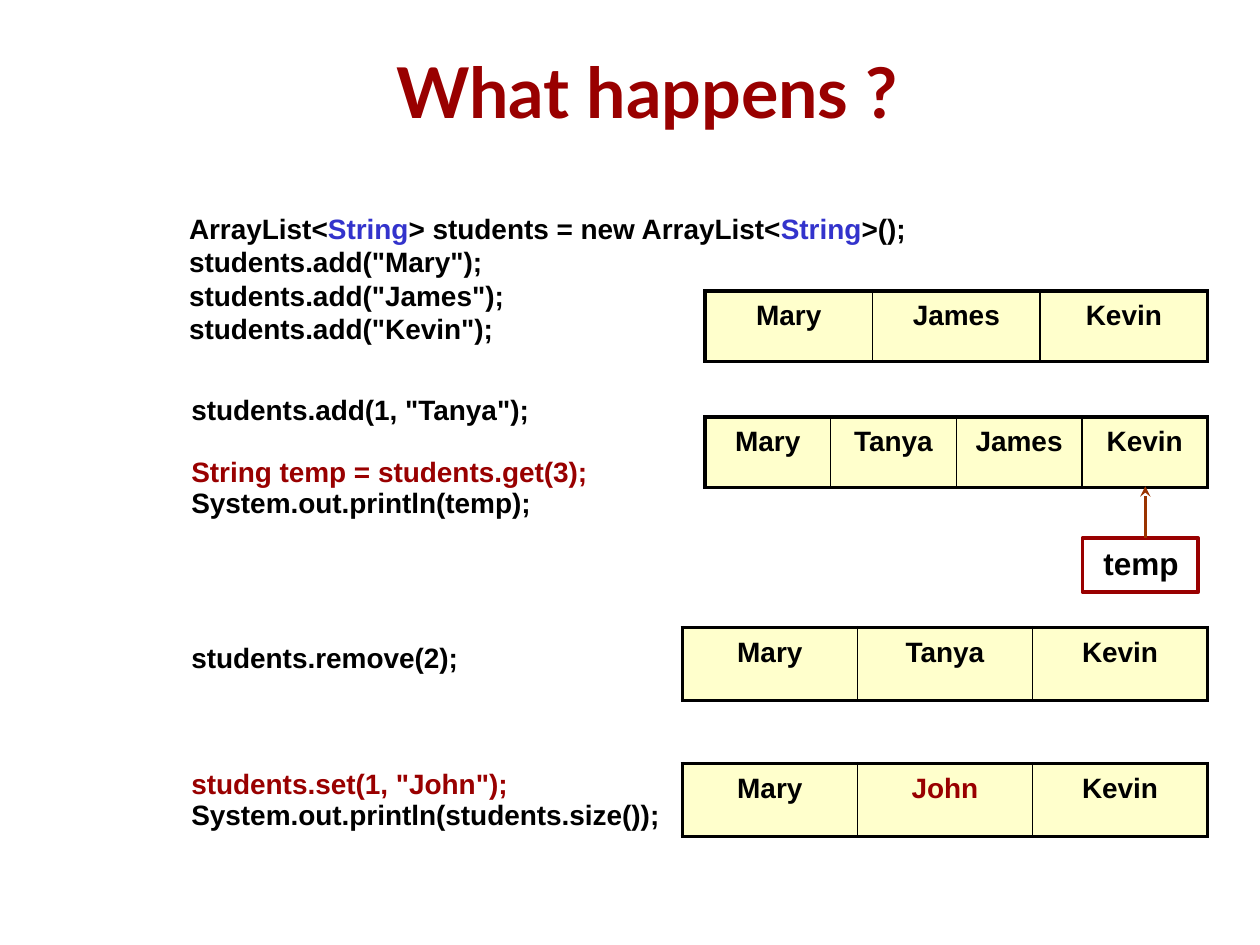
from lxml import etree
from pptx import Presentation
from pptx.dml.color import RGBColor
from pptx.enum.shapes import MSO_CONNECTOR, MSO_SHAPE
from pptx.enum.text import MSO_ANCHOR, PP_ALIGN
from pptx.oxml.ns import qn
from pptx.util import Inches, Pt

CENTER = PP_ALIGN.CENTER
MIDDLE = MSO_ANCHOR.MIDDLE
RECTANGLE = MSO_SHAPE.RECTANGLE
STRAIGHT = MSO_CONNECTOR.STRAIGHT

BLACK = RGBColor(0x00, 0x00, 0x00)
DARK_RED = RGBColor(0x99, 0x00, 0x00)
TYPE_BLUE = RGBColor(0x33, 0x33, 0xCC)
ARROW_BROWN = RGBColor(0x99, 0x33, 0x00)
CELL_YELLOW = RGBColor(0xFF, 0xFF, 0xCC)

LISTS_RIGHT = 9.585  # shared right edge of the list diagrams
CODE_LEFT = 1.42
OUTER_BORDER, INNER_BORDER = 2.25, 1


def place(left, top, width, height):
    return [Inches(value) for value in (left, top, width, height)]


def set_font(font, size=16, color=BLACK, name="Arial"):
    font.name, font.size, font.bold = name, Pt(size), True
    font.color.rgb = color


def zero_margins(frame):
    frame.margin_left = frame.margin_right = 0
    frame.margin_top = frame.margin_bottom = 0


def add_title(slide, text):
    title = slide.shapes.title
    title.left, title.top, title.width, title.height = place(1.91, 0.21, 6.59, 1.13)
    frame = title.text_frame
    zero_margins(frame)
    frame.vertical_anchor = MIDDLE
    frame.text = text
    heading = frame.paragraphs[0]
    heading.alignment, heading.line_spacing = CENTER, 0.81
    set_font(heading.font, 40, DARK_RED, "Lato")


def add_code(slide, box, lines, spacing=0.93):
    """Each line is (pieces, color, space before); odd pieces are type names."""
    frame = slide.shapes.add_textbox(*place(*box)).text_frame
    frame.word_wrap = True
    for index, (pieces, color, before) in enumerate(lines):
        line = frame.add_paragraph() if index else frame.paragraphs[0]
        line.line_spacing, line.space_before = spacing, Pt(before)
        set_font(line.font, color=color)
        for position, piece in enumerate(pieces):
            run = line.add_run()
            run.text = piece
            if position % 2:
                run.font.color.rgb = TYPE_BLUE
    return frame


def set_border(cell, side, width):
    border = etree.SubElement(cell._tc.get_or_add_tcPr(), qn(f"a:ln{side}"),
                              w=str(Pt(width)))
    fill = etree.SubElement(border, qn("a:solidFill"))
    etree.SubElement(fill, qn("a:srgbClr"), val=str(BLACK))


def add_list(slide, top, width, height, names, changed=None):
    """Draw the state of the list as one row of cells."""
    frame = slide.shapes.add_table(
        1, len(names), *place(LISTS_RIGHT - width, top, width, height))
    table = frame.table
    table.first_row = table.horz_banding = False
    last = len(names) - 1
    for index, name in enumerate(names):
        table.columns[index].width = Inches(width / len(names))
        cell = table.cell(0, index)
        cell.text = name
        label = cell.text_frame.paragraphs[0]
        label.alignment, label.line_spacing = CENTER, 1.1
        set_font(label.font, color=DARK_RED if name == changed else BLACK)
        # Borders come before the fill in the cell properties
        set_border(cell, "L", INNER_BORDER if index else OUTER_BORDER)
        set_border(cell, "R", INNER_BORDER if index < last else OUTER_BORDER)
        set_border(cell, "T", OUTER_BORDER)
        set_border(cell, "B", OUTER_BORDER)
        cell.fill.solid()
        cell.fill.fore_color.rgb = CELL_YELLOW


def add_variable(slide, box, text):
    variable = slide.shapes.add_shape(RECTANGLE, *place(*box))
    variable.shadow.inherit = False
    variable.fill.background()
    variable.line.color.rgb, variable.line.width = DARK_RED, Pt(2)
    frame = variable.text_frame
    frame.text = text
    frame.vertical_anchor = MSO_ANCHOR.TOP
    name = frame.paragraphs[0]
    name.alignment = PP_ALIGN.LEFT
    set_font(name.font, 18)


def add_arrow(slide, x, start, end):
    arrow = slide.shapes.add_connector(STRAIGHT, *place(x, start, x, end))
    arrow.line.color.rgb, arrow.line.width = ARROW_BROWN, Pt(1.5)
    etree.SubElement(arrow.line._get_or_add_ln(), qn("a:tailEnd"), type="stealth")
    etree.SubElement(arrow._element.spPr, qn("a:effectLst"))


def main():
    deck = Presentation()
    deck.slide_width, deck.slide_height = Inches(10), Inches(7.5)
    slide = deck.slides.add_slide(deck.slide_layouts[5])
    add_title(slide, "What happens ? ")

    # Creating and filling the list
    creation = ["ArrayList<", "String", "> students = new ArrayList<", "String", ">();"]
    additions = [[f'students.add("{name}");'] for name in ("Mary", "James", "Kevin")]
    setup = add_code(slide, (1.5, 1.73, 5.75, 1.5),
                     [(pieces, BLACK, 3.7) for pieces in [creation] + additions], 0.8)
    zero_margins(setup)
    add_list(slide, 2.31, 3.99, 0.56, ["Mary", "James", "Kevin"])

    # Inserting and reading
    add_code(slide, (CODE_LEFT, 3.09, 5, 1.09), [
        (['students.add(1, "Tanya");'], BLACK, 0),
        (["String temp = students.get(3);"], DARK_RED, 17.5),
        (["System.out.println(temp);"], BLACK, 0)])
    add_list(slide, 3.31, 3.99, 0.56, ["Mary", "Tanya", "James", "Kevin"])
    add_variable(slide, (8.59, 4.27, 0.92, 0.43), " temp")
    add_arrow(slide, 9.09, 4.27, 3.86)

    # Removing
    add_code(slide, (CODE_LEFT, 5.06, 3.33, 0.35),
             [(["students.remove(2);"], BLACK, 0)])
    add_list(slide, 4.98, 4.17, 0.58, ["Mary", "Tanya", "Kevin"])

    # Replacing
    add_code(slide, (CODE_LEFT, 6.06, 4, 0.94), [
        (['students.set(1, "John");'], DARK_RED, 0),
        (["System.out.println(students.size());"], BLACK, 0)])
    add_list(slide, 6.06, 4.17, 0.58, ["Mary", "John", "Kevin"], changed="John")

    deck.save("out.pptx")


if __name__ == "__main__":
    main()
